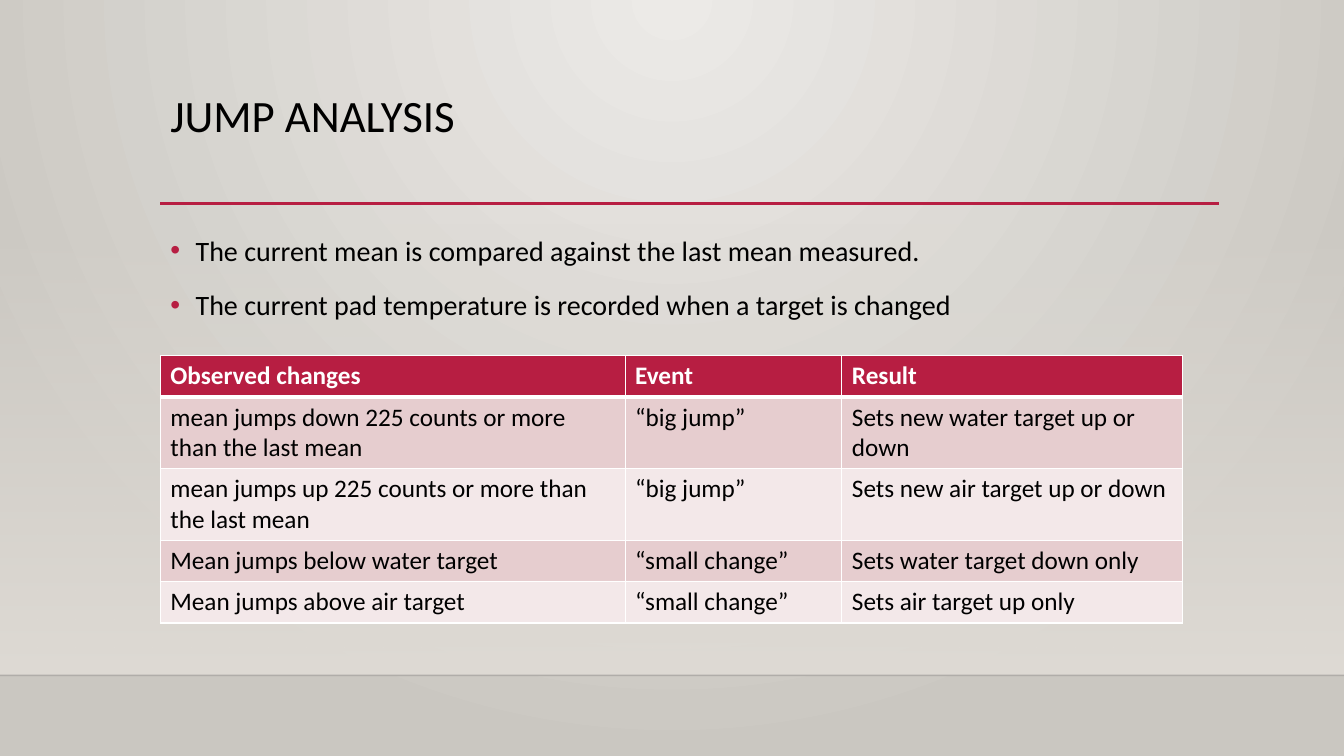
from pptx import Presentation
from pptx.dml.color import RGBColor
from pptx.enum.shapes import MSO_CONNECTOR, MSO_SHAPE
from pptx.enum.text import MSO_ANCHOR, MSO_AUTO_SIZE, PP_ALIGN
from pptx.oxml import parse_xml
from pptx.oxml.ns import nsdecls, qn
from pptx.util import Inches, Pt
from lxml.etree import SubElement

RED = RGBColor(0xB7, 0x1E, 0x42)
BLACK = RGBColor(0, 0, 0)
WHITE = RGBColor(0xFF, 0xFF, 0xFF)
INK = RGBColor(0, 0, 1)
LIGHT = RGBColor(0xEC, 0xEA, 0xE7)
DARK = RGBColor(0xCA, 0xC7, 0xC1)
SAND = RGBColor(0xDF, 0xDB, 0xD5)
ROSE = RGBColor(0xE6, 0xCD, 0xCF)
PALE = RGBColor(0xF3, 0xE8, 0xE9)

FONT = "Calibri"
WIDE, HIGH = 13.33, 7.5
LEFT, FLOOR = 1.59, 6.7
BULLETS = [
    "The current mean is compared against the last mean measured.",
    "The current pad temperature is recorded when a target is changed",
]
COLS = [4.61, 2.15, 3.38]
ROWS = [
    ("Observed changes", "Event", "Result"),
    ("mean jumps down 225 counts or more than the last mean",
     "“big jump”", "Sets new water target up or down"),
    ("mean jumps up 225 counts or more than the last mean",
     "“big jump”", "Sets new air target up or down"),
    ("Mean jumps below water target", "“small change”",
     "Sets water target down only"),
    ("Mean jumps above air target", "“small change”",
     "Sets air target up only"),
]


def write(para, text, size=18, color=BLACK, bold=False, line=1.0, before=0):
    run = para.add_run()
    run.text = text
    font = run.font
    font.name, font.size, font.bold = FONT, Pt(size), bold
    font.color.rgb = color
    para.alignment = PP_ALIGN.LEFT
    para.line_spacing, para.space_before = line, Pt(before)


def place(shape, box):
    shape.left, shape.top, shape.width, shape.height = map(Inches, box)
    frame = shape.text_frame
    frame.word_wrap = True
    frame.auto_size = MSO_AUTO_SIZE.NONE
    frame.vertical_anchor = MSO_ANCHOR.TOP
    return frame


def blend(owner, first, last, shade, alpha=100):
    """Replace the gradient in owner; alpha is the opacity of its first stop."""
    old = owner.find(".//" + qn("a:gradFill"))
    new = parse_xml(
        f'<a:gradFill {nsdecls("a")} rotWithShape="1"><a:gsLst>'
        f'<a:gs pos="0"><a:srgbClr val="{first}">'
        f'<a:alpha val="{alpha * 1000}"/></a:srgbClr></a:gs>'
        f'<a:gs pos="100000"><a:srgbClr val="{last}"/></a:gs>'
        f'</a:gsLst>{shade}</a:gradFill>')
    old.getparent().replace(old, new)


def rule(slide, left, top, width, color, weight, alpha=100):
    line = slide.shapes.add_connector(
        MSO_CONNECTOR.STRAIGHT, Inches(left), Inches(top),
        Inches(left + width), Inches(top))
    line.line.color.rgb = color
    line.line.width = Pt(weight)
    props = line.element.spPr
    tint = props.find(".//" + qn("a:srgbClr"))
    SubElement(tint, qn("a:alpha"), val=str(alpha * 1000))
    SubElement(props, qn("a:effectLst"))


def backdrop(slide, left, top, width, height):
    slide.background.fill.gradient()
    blend(slide.element, LIGHT, DARK,
          '<a:path path="circle"><a:fillToRect l="43000" r="43000" '
          'b="100000"/></a:path>')
    wall = slide.shapes.add_shape(
        MSO_SHAPE.RECTANGLE, *map(Inches, (left, top, width, height)))
    wall.shadow.inherit = False
    wall.line.fill.background()
    wall.fill.gradient()
    blend(wall.element, SAND, SAND, '<a:lin ang="5400000" scaled="0"/>', 0)
    # Send the wall behind the text
    slide.shapes.element.insert(2, wall.element)
    rule(slide, left, top + height, width, INK, 1, alpha=20)


def heading(slide, left, top, width, height):
    frame = place(slide.shapes.title, (left, top, width, height))
    write(frame.paragraphs[0], "JUMP ANALYSIS", size=32, line=0.9)
    rule(slide, left, top + height - 0.01, width, RED, 2.5)


def points(slide, box):
    frame = place(slide.placeholders[1], box)
    for i, text in enumerate(BULLETS):
        para = frame.add_paragraph() if i else frame.paragraphs[0]
        write(para, text, size=20, line=1.2, before=10)
        props = para._p.get_or_add_pPr()
        props.set("marL", str(Inches(0.25)))
        props.set("indent", str(Inches(-0.25)))
        tint = SubElement(props, qn("a:buClr"))
        SubElement(tint, qn("a:srgbClr"), val=str(RED))
        SubElement(props, qn("a:buFont"), typeface="Arial")
        SubElement(props, qn("a:buChar"), char="•")


def edge(cell, side, weight):
    line = SubElement(cell._tc.get_or_add_tcPr(), qn("a:ln" + side),
                      w=str(Pt(weight)))
    fill = SubElement(line, qn("a:solidFill"))
    SubElement(fill, qn("a:srgbClr"), val=str(WHITE))


def grid(slide, left, top, step):
    table = slide.shapes.add_table(
        len(ROWS), len(COLS), Inches(left), Inches(top),
        Inches(sum(COLS)), Inches(step * len(ROWS))).table
    for col, width in zip(table.columns, COLS):
        col.width = Inches(width)
    for r, row in enumerate(ROWS):
        table.rows[r].height = Inches(step)
        head = r == 0
        for c, text in enumerate(row):
            cell = table.cell(r, c)
            write(cell.text_frame.paragraphs[0], text, bold=head,
                  color=WHITE if head else BLACK)
            # Thick white edge between the header and the first row
            for side in "LRTB":
                thick = (r, side) in ((0, "B"), (1, "T"))
                edge(cell, side, 3 if thick else 1)
            cell.fill.solid()
            cell.fill.fore_color.rgb = RED if head else (PALE, ROSE)[r % 2]


def main():
    deck = Presentation()
    deck.slide_width, deck.slide_height = Inches(WIDE), Inches(HIGH)
    slide = deck.slides.add_slide(deck.slide_layouts[1])
    backdrop(slide, 0, 2.21, WIDE, FLOOR - 2.21)
    heading(slide, LEFT, 0.88, 10.5, 1.15)
    points(slide, (LEFT, 2.2, 10.5, 1.15))
    grid(slide, LEFT, 3.53, 0.41)
    deck.save("out.pptx")


if __name__ == "__main__":
    main()
